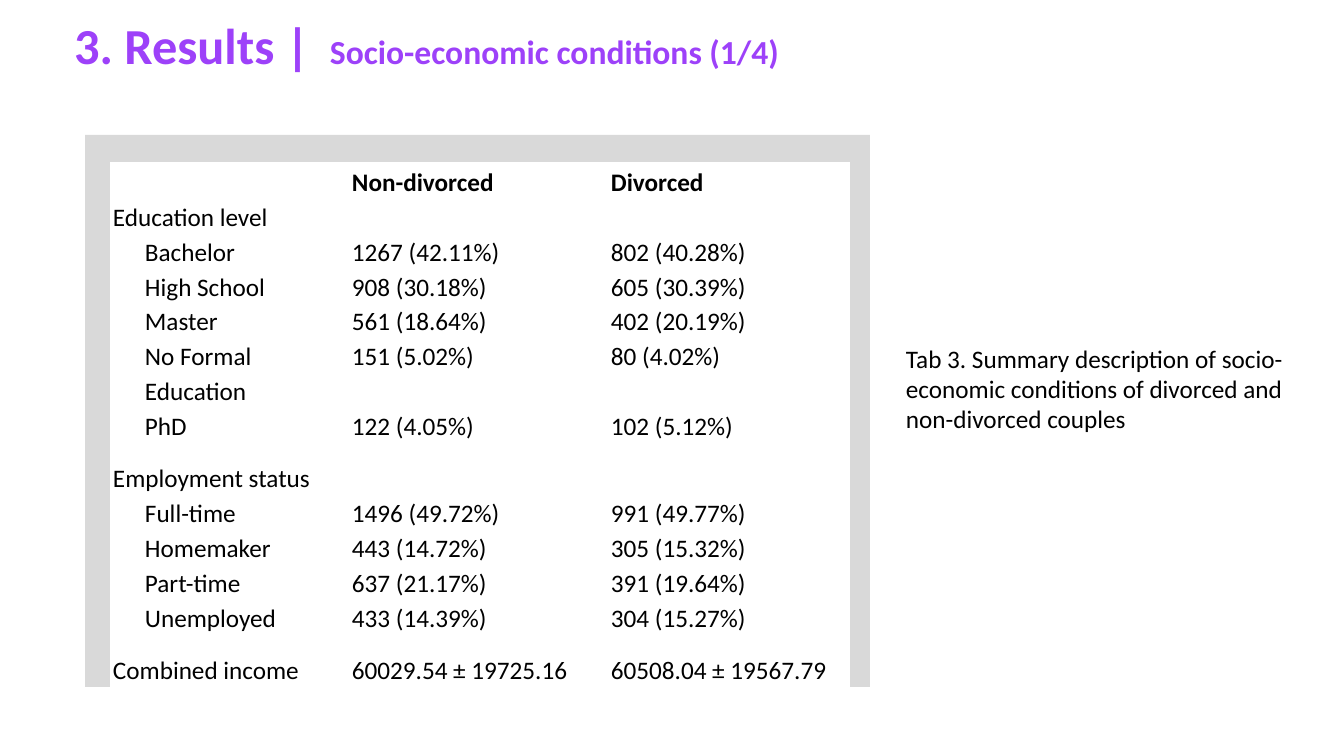
from dataclasses import dataclass

from pptx import Presentation
from pptx.dml.color import RGBColor
from pptx.enum.shapes import MSO_SHAPE
from pptx.enum.text import MSO_ANCHOR, MSO_AUTO_SIZE, PP_ALIGN
from pptx.util import Emu, Pt

RECT = MSO_SHAPE.RECTANGLE
TOP = MSO_ANCHOR.TOP
GROW = MSO_AUTO_SIZE.SHAPE_TO_FIT_TEXT
LEFT = PP_ALIGN.LEFT

TITLE = "3. Results |"
TOPIC = "Socio-economic conditions (1/4)"
CAPTION = ("Tab 3. Summary description of socio-economic conditions "
           "of divorced and non-divorced couples")
HEAD = ("", "Non-divorced", "Divorced")
GROUPS = [
    ("Education level", [
        ("Bachelor", "1267 (42.11%)", "802 (40.28%)"),
        ("High School", "908 (30.18%)", "605 (30.39%)"),
        ("Master", "561 (18.64%)", "402 (20.19%)"),
        ("No Formal Education", "151 (5.02%)", "80 (4.02%)"),
        ("PhD", "122 (4.05%)", "102 (5.12%)"),
    ]),
    ("Employment status", [
        ("Full-time", "1496 (49.72%)", "991 (49.77%)"),
        ("Homemaker", "443 (14.72%)", "305 (15.32%)"),
        ("Part-time", "637 (21.17%)", "391 (19.64%)"),
        ("Unemployed", "433 (14.39%)", "304 (15.27%)"),
    ]),
]
INCOME = ("Combined income", "60029.54 ± 19725.16", "60508.04 ± 19567.79")


@dataclass(frozen=True)
class Theme:
    font: str = "Calibri"
    accent: RGBColor = RGBColor(0x9D, 0x41, 0xF9)
    ink: RGBColor = RGBColor(0, 0, 0)
    paper: RGBColor = RGBColor(255, 255, 255)
    panel: RGBColor = RGBColor(0xD9, 0xD9, 0xD9)
    title: int = 36
    topic: int = 24
    body: int = 18
    gap: int = 8


THEME = Theme()
WIDTH, HEIGHT = 1344, 756
PANEL = (85, 135, 785, 552)
TITLE_BOX = (64, 21, 510, 92)
TOPIC_BOX = (320, 20, 525, 54)
CAPTION_BOX = (896, 338, 406, 102)
GRID = (111, 163)
COLS = (239, 259, 240)
ROW, GAP = 34, 18
INDENT, INSET = 32, 2


def px(n):
    return Emu(round(n * 914400 / 100.8))


def box(dims):
    return [px(n) for n in dims]


def style(para, size, color, bold=False, line=None, after=None):
    para.alignment = LEFT
    para.line_spacing = line
    para.space_after = after
    font = para.font
    font.name, font.size, font.bold = THEME.font, Pt(size), bold
    font.color.rgb = color


def add_text(slide, dims, text, *look, **kind):
    frame = slide.shapes.add_textbox(*box(dims)).text_frame
    frame.word_wrap = True
    frame.auto_size = GROW
    frame.text = text
    style(frame.paragraphs[0], *look, **kind)


def add_title(slide):
    title = slide.shapes.title
    title.left, title.top, title.width, title.height = box(TITLE_BOX)
    frame = title.text_frame
    frame.text = TITLE
    frame.vertical_anchor = TOP
    frame.margin_top = 0
    style(frame.paragraphs[0], THEME.title, THEME.accent, True, 0.9)


def list_rows():
    """Pair each table row with its kind: head, main, sub or gap."""
    blank = ("", "", "")
    rows = [("head", HEAD)]
    for name, items in GROUPS:
        rows.append(("main", (name, "", "")))
        rows += [("sub", item) for item in items]
        rows.append(("gap", blank))
    return rows + [("main", INCOME)]


def fill_cell(cell, text, kind, first):
    cell.fill.solid()
    cell.fill.fore_color.rgb = THEME.paper
    cell.margin_left = cell.margin_right = px(INSET)
    cell.margin_top = cell.margin_bottom = 0
    para = cell.text_frame.paragraphs[0]
    if not text:
        para.font.size = Pt(THEME.gap)
        return
    para.text = text
    if kind == "sub" and first:
        para._p.get_or_add_pPr().set("marL", str(px(INDENT)))
    style(para, THEME.body, THEME.ink, kind == "head", 1.15, Pt(10))


def add_grid(slide):
    rows = list_rows()
    highs = [GAP if kind == "gap" else ROW for kind, _ in rows]
    dims = box((*GRID, sum(COLS), sum(highs)))
    table = slide.shapes.add_table(len(rows), len(COLS), *dims).table
    table.first_row = table.horz_banding = False
    for col, wide in zip(table.columns, COLS):
        col.width = px(wide)
    for r, (kind, texts) in enumerate(rows):
        table.rows[r].height = px(highs[r])
        for c, text in enumerate(texts):
            fill_cell(table.cell(r, c), text, kind, c == 0)


def main():
    deck = Presentation()
    deck.slide_width, deck.slide_height = px(WIDTH), px(HEIGHT)
    slide = deck.slides.add_slide(deck.slide_layouts[5])
    panel = slide.shapes.add_shape(RECT, *box(PANEL))
    panel.shadow.inherit = False
    panel.fill.solid()
    panel.fill.fore_color.rgb = THEME.panel
    panel.line.fill.background()
    add_title(slide)
    add_text(slide, TOPIC_BOX, TOPIC, THEME.topic, THEME.accent, True,
             line=1.15, after=Pt(10))
    add_grid(slide)
    add_text(slide, CAPTION_BOX, CAPTION, THEME.body, THEME.ink)
    deck.save("out.pptx")


if __name__ == "__main__":
    main()
